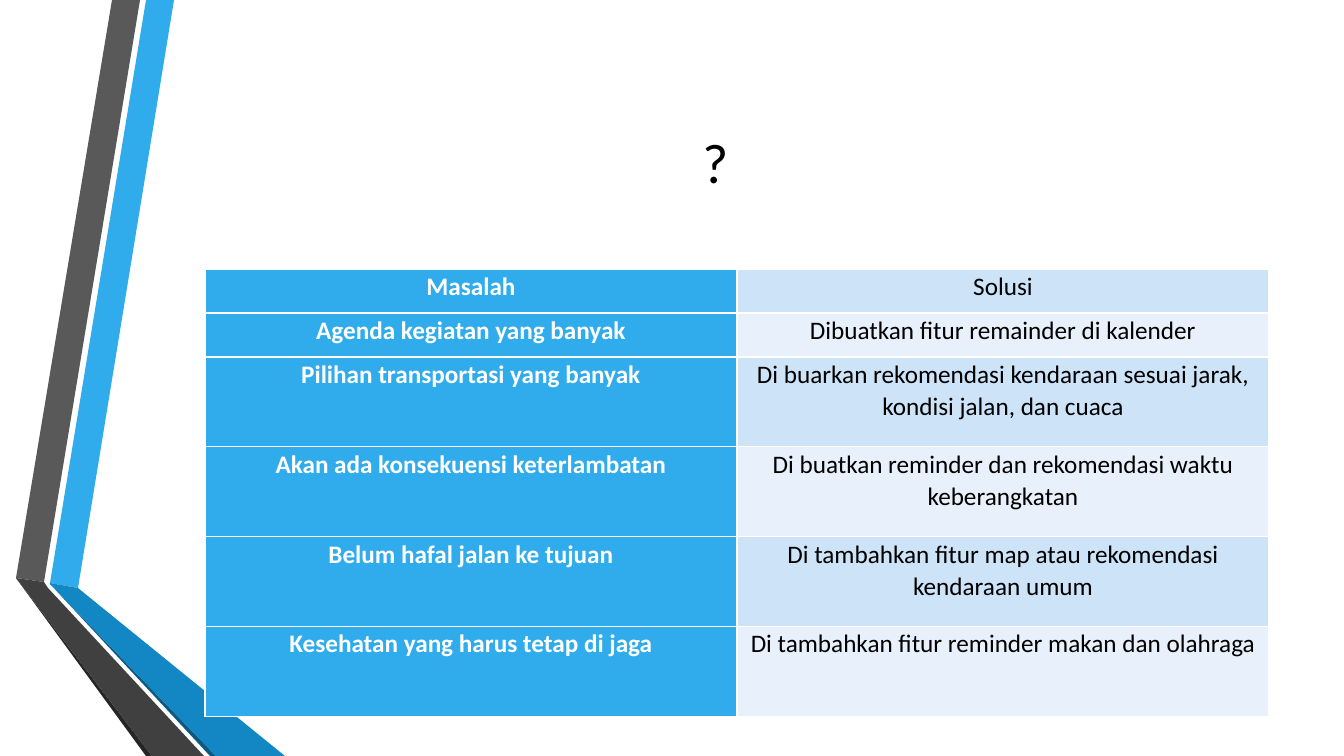
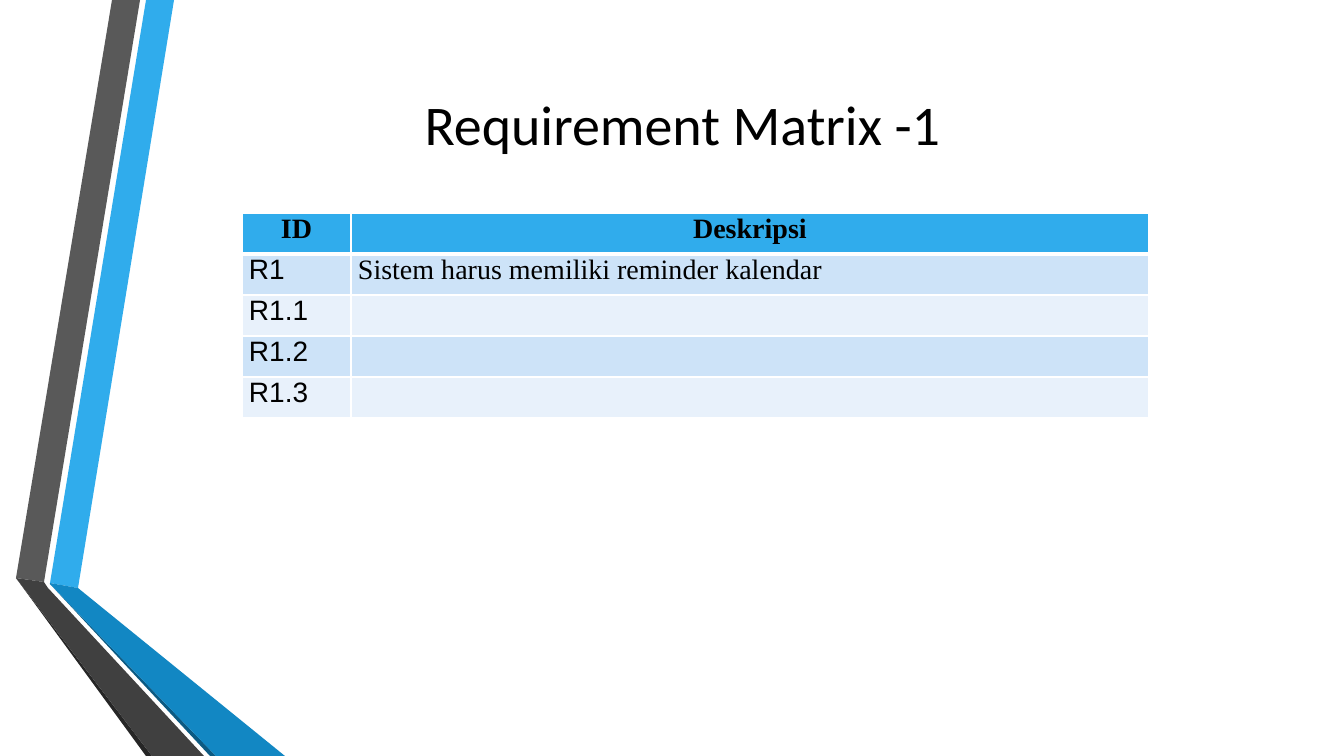
from collections import namedtuple

from lxml import etree
from pptx import Presentation
from pptx.dml.color import RGBColor
from pptx.enum.text import MSO_ANCHOR, PP_ALIGN
from pptx.oxml.ns import qn
from pptx.util import Pt

LEFT, CENTER = PP_ALIGN.LEFT, PP_ALIGN.CENTER
MIDDLE = MSO_ANCHOR.MIDDLE

SCALE = 12192000 / 1344
WIDTH, HEIGHT = 1344, 756

BLACK = RGBColor(0x00, 0x00, 0x00)
WHITE = RGBColor(0xFF, 0xFF, 0xFF)
BLUE = RGBColor(0x30, 0xAC, 0xEC)
MID_BLUE = RGBColor(0x12, 0x87, 0xC3)
DEEP_BLUE = RGBColor(0x0C, 0x5A, 0x82)
GREY = RGBColor(0x59, 0x59, 0x59)
DARK_GREY = RGBColor(0x40, 0x40, 0x40)
DEEP_GREY = RGBColor(0x26, 0x26, 0x26)
BANDS = (RGBColor(0xCD, 0xE3, 0xF8), RGBColor(0xE8, 0xF1, 0xFB))

SANS, SERIF, PLAIN = "Calibri", "Times New Roman", "Arial"
THIN, THICK = 1, 3

RIBBONS = (
    (BLUE, ((50, 583), (78, 588), (174, 0), (146, 0))),
    (GREY, ((140, 0), (112, 0), (16, 578), (44, 582))),
    (DEEP_GREY, ((16, 578), (146, 756), (152, 756))),
    (DEEP_BLUE, ((50, 584), (210, 756), (216, 756))),
    (MID_BLUE, ((50, 584), (216, 756), (285, 756), (78, 588), (50, 583))),
    (DARK_GREY, ((204, 756), (48, 588), (44, 582), (16, 578), (152, 756))),
)

PROBLEMS = (
    ("Masalah", "Solusi"),
    ("Agenda kegiatan yang banyak", "Dibuatkan fitur remainder di kalender"),
    ("Pilihan transportasi yang banyak",
     "Di buarkan rekomendasi kendaraan sesuai jarak, kondisi jalan, dan cuaca"),
    ("Akan ada konsekuensi keterlambatan",
     "Di buatkan reminder dan rekomendasi waktu keberangkatan"),
    ("Belum hafal jalan ke tujuan",
     "Di tambahkan fitur map atau rekomendasi kendaraan umum"),
    ("Kesehatan yang harus tetap di jaga",
     "Di tambahkan fitur reminder makan dan olahraga"),
)

REQUIREMENTS = (
    ("ID", "Deskripsi"),
    ("R1", "Sistem harus memiliki reminder kalendar"),
    ("R1.1", ""),
    ("R1.2", ""),
    ("R1.3", ""),
)

Box = namedtuple("Box", "left top width height")
Look = namedtuple("Look", "fill color bold font size align spacing top bottom",
                  defaults=(1, THIN, THIN))


def px(length):
    return round(length * SCALE)


def place(box):
    return [px(length) for length in box]


def draw_ribbons(page, box):
    for color, points in RIBBONS:
        outline = page.shapes.build_freeform(*points[0], scale=SCALE)
        outline.add_line_segments(points[1:], close=True)
        ribbon = outline.convert_to_shape(px(box.left), px(box.top))
        ribbon.shadow.inherit = False
        ribbon.fill.solid()
        ribbon.fill.fore_color.rgb = color
        ribbon.line.fill.background()


def draw_title(page, box, wording):
    frame = page.shapes.add_textbox(*place(box)).text_frame
    frame.word_wrap = True
    frame.vertical_anchor = MIDDLE
    para = frame.paragraphs[0]
    para.text = wording
    para.alignment = CENTER
    para.font.name, para.font.size = SANS, Pt(40)
    para.font.color.rgb = BLACK


def draw_borders(cell, look):
    properties = cell._tc.get_or_add_tcPr()
    edges = {"a:lnL": THIN, "a:lnR": THIN, "a:lnT": look.top, "a:lnB": look.bottom}
    for tag, weight in edges.items():
        line = etree.SubElement(properties, qn(tag), w=str(Pt(weight)))
        fill = etree.SubElement(line, qn("a:solidFill"))
        etree.SubElement(fill, qn("a:srgbClr"), val=str(WHITE))


def style_cell(cell, wording, look):
    cell.margin_left = cell.margin_right = px(7)
    cell.margin_top = cell.margin_bottom = 0
    draw_borders(cell, look)
    cell.fill.solid()
    cell.fill.fore_color.rgb = look.fill
    para = cell.text_frame.paragraphs[0]
    para.text = wording
    para.alignment = look.align
    para.line_spacing = look.spacing
    para.font.name, para.font.size = look.font, Pt(look.size)
    para.font.bold = look.bold
    para.font.color.rgb = look.color


def draw_table(page, box, rows, widths, heights, choose_look):
    frame = page.shapes.add_table(len(rows), len(widths), *place(box))
    table = frame.table
    table.first_row = table.horz_banding = False
    for column, width in zip(table.columns, widths):
        column.width = px(width)
    for row, height in zip(table.rows, heights):
        row.height = px(height)
    for r, wordings in enumerate(rows):
        for c, wording in enumerate(wordings):
            style_cell(table.cell(r, c), wording, choose_look(r, c))


def problem_look(row, column):
    if column == 0:
        return Look(BLUE, WHITE, True, SANS, 18, CENTER, 1.07)
    return Look(BANDS[row % 2], BLACK, False, SANS, 18, CENTER, 1.07)


def requirement_look(row, column):
    if row == 0:
        return Look(BLUE, BLACK, True, SERIF, 20, CENTER, bottom=THICK)
    font = PLAIN if column == 0 else SERIF
    top = THICK if row == 1 else THIN
    return Look(BANDS[(row - 1) % 2], BLACK, False, font, 20, LEFT, top=top)


def add_page(deck, title_box, title):
    page = deck.slides.add_slide(deck.slide_layouts[6])
    draw_ribbons(page, Box(0, 0, WIDTH, HEIGHT))
    draw_title(page, title_box, title)
    return page


def add_problem_page(deck):
    page = add_page(deck, Box(163, 76, 1105, 171), "?")
    box = Box(205, 269, 1064, 448)
    short, tall = 44, 90
    draw_table(page, box, PROBLEMS, [box.width / 2] * 2,
               [short] * 2 + [tall] * 4, problem_look)


def add_requirement_page(deck):
    page = add_page(deck, Box(130, 34, 1105, 178), "Requirement Matrix -1")
    box = Box(242, 213, 907, 205)
    id_width = 109
    count = len(REQUIREMENTS)
    draw_table(page, box, REQUIREMENTS, [id_width, box.width - id_width],
               [box.height / count] * count, requirement_look)


deck = Presentation()
deck.slide_width, deck.slide_height = px(WIDTH), px(HEIGHT)
add_problem_page(deck)
add_requirement_page(deck)
deck.save("out.pptx")
